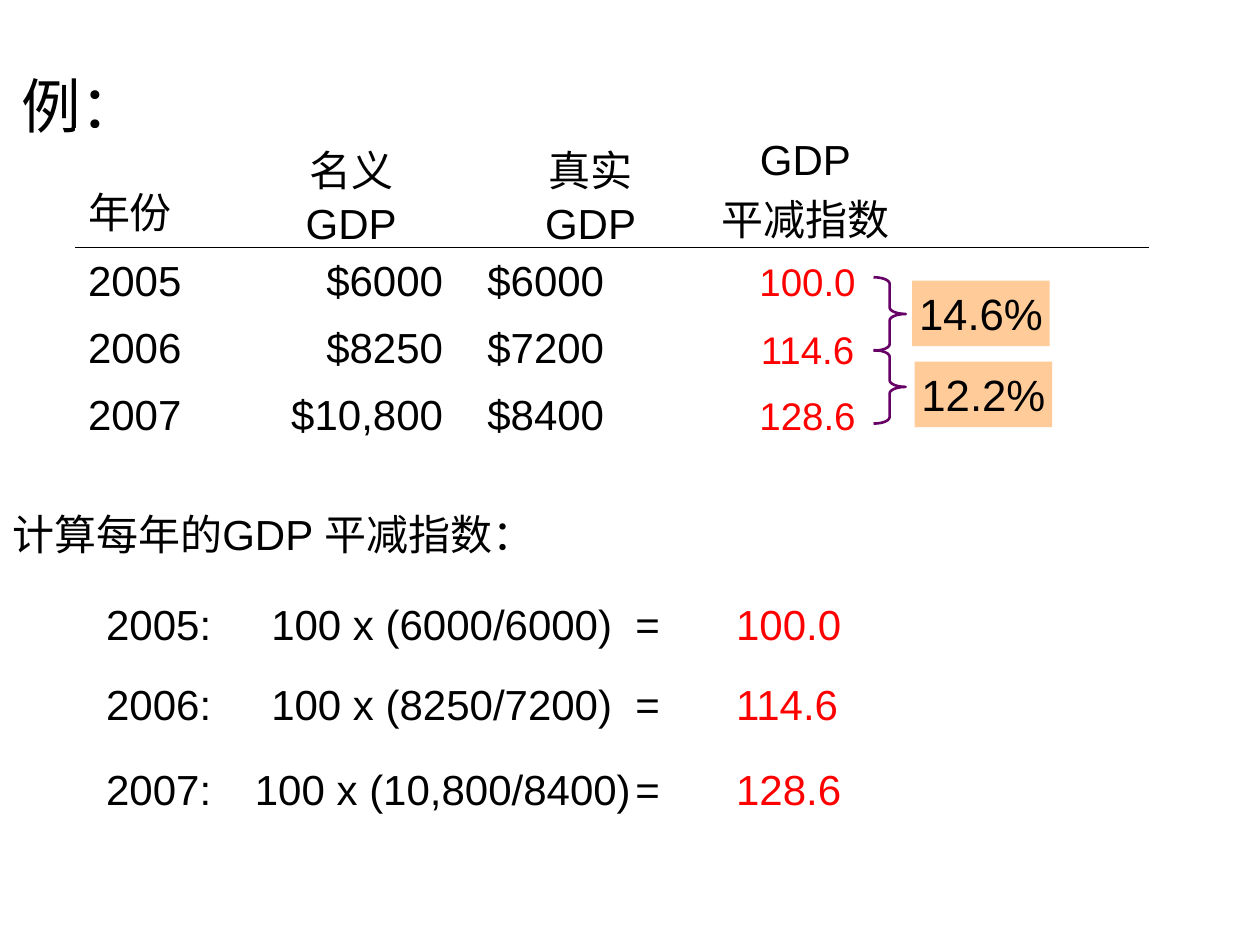
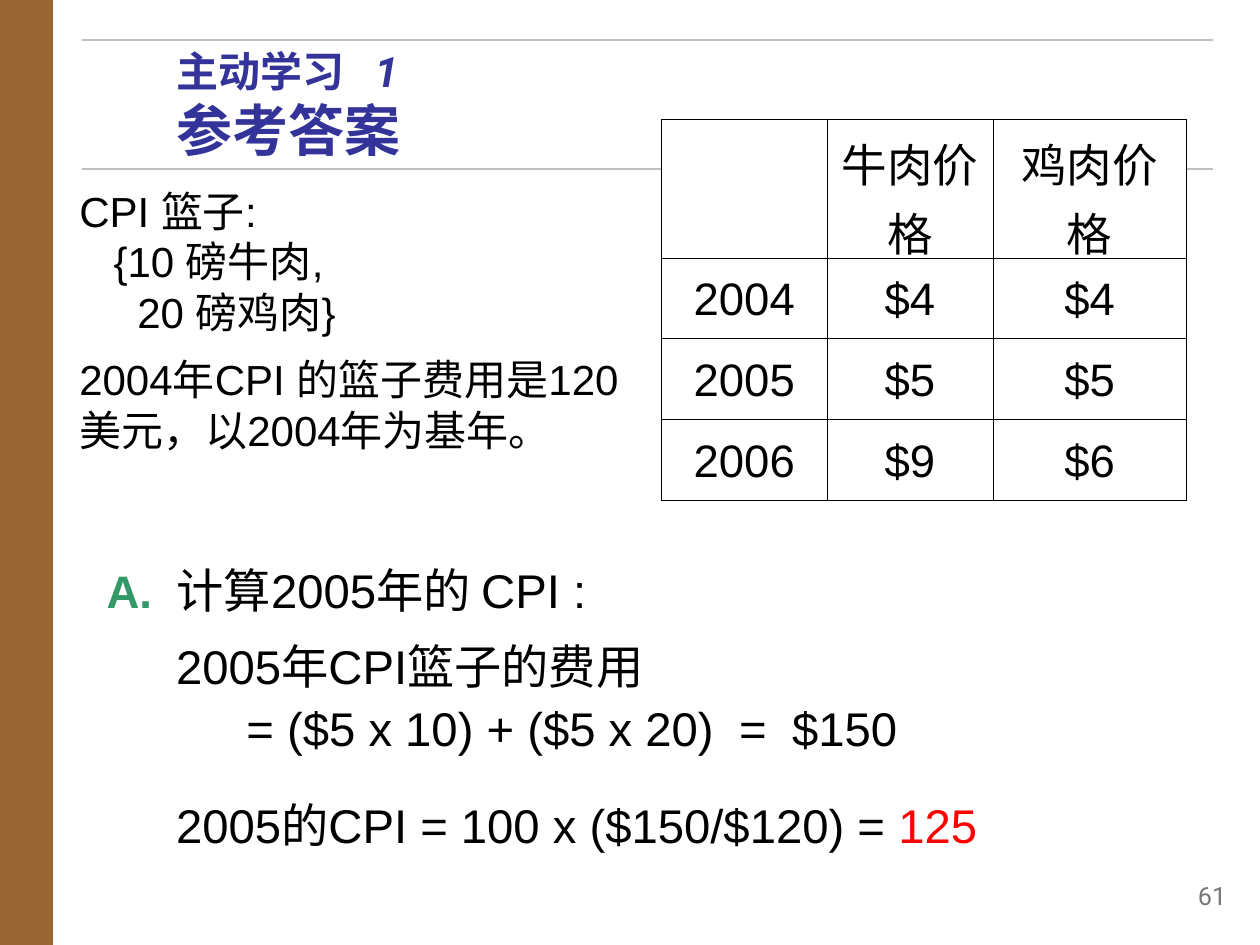
"""Builds two slides on the GDP deflator and the CPI basket."""
import pptx
import pptx.chart.data
import pptx.dml.color
import pptx.enum.shapes
import pptx.enum.text
import pptx.oxml
import pptx.oxml.ns
import pptx.util
import lxml.etree

Cm = pptx.util.Cm
Pt = pptx.util.Pt
RGB = pptx.dml.color.RGBColor.from_string
ALIGN = pptx.enum.text.PP_ALIGN
ANCHOR = pptx.enum.text.MSO_ANCHOR
SHAPE = pptx.enum.shapes.MSO_SHAPE
qn = pptx.oxml.ns.qn

COLORS = {
    "text": "000000", "result": "FF0000", "growth": "FFCC99", "brace": "660066",
    "band": "996633", "title": "333399", "rule": "C0C0C0", "number": "777777",
    "letter": "339966", "paper": "FFFFFF",
}
RED = {"color": "result"}


def write(target, paragraphs, size, align=ALIGN.LEFT, anchor=ANCHOR.TOP,
          spacing=1.0, before=0, tabs=(), **base):
    """Fill a frame; target is a cell, a shape, or a page with its box in Cm."""
    if isinstance(target, tuple):
        page, *place = target
        target = page.shapes.add_textbox(*map(Cm, place))
    frame = target.text_frame
    frame.word_wrap = True
    frame.vertical_anchor = anchor
    for number, parts in enumerate(paragraphs):
        para = frame.add_paragraph() if number else frame.paragraphs[0]
        if tabs:
            tab_list = lxml.etree.SubElement(para._p.get_or_add_pPr(), qn("a:tabLst"))
            for tab in tabs:
                lxml.etree.SubElement(tab_list, qn("a:tab"), pos=str(Cm(tab)), algn="l")
        para.alignment = align
        para.line_spacing = spacing
        para.space_before = Pt(before if number else 0)
        for text, own in parts:
            style = {"font": "Arial", "color": "text", "size": size, **base, **own}
            for row, piece in enumerate(text.split("\v")):
                if row:
                    para.add_line_break()
                span = para.add_run()
                span.text = piece
                span.font.name = style["font"]
                span.font.size = Pt(style["size"])
                span.font.bold = style.get("bold", False)
                span.font.italic = style.get("italic", False)
                span.font.color.rgb = RGB(COLORS[style["color"]])


def add_grid(page, left, top, widths, heights, edges_of):
    """Add an unstyled table; edges_of(row) names the ruled sides of its cells."""
    frame = page.shapes.add_table(len(heights), len(widths), Cm(left), Cm(top),
                                  Cm(sum(widths)), Cm(sum(heights)))
    table = frame.table
    table.first_row = table.horz_banding = False
    for column, width in zip(table.columns, widths):
        column.width = Cm(width)
    for index, height in enumerate(heights):
        table.rows[index].height = Cm(height)
        for cell in table.rows[index].cells:
            properties = cell._tc.get_or_add_tcPr()
            for side in "LRTB":
                ruled = side in edges_of(index)
                line = lxml.etree.SubElement(properties, qn("a:ln" + side),
                                             w=str(Pt(0.45) if ruled else 0))
                if ruled:
                    fill = lxml.etree.SubElement(line, qn("a:solidFill"))
                    lxml.etree.SubElement(fill, qn("a:srgbClr"), val=COLORS["text"])
                else:
                    lxml.etree.SubElement(line, qn("a:noFill"))
            cell.fill.solid()
            cell.fill.fore_color.rgb = RGB(COLORS["paper"])
    return table


deck = pptx.Presentation()
deck.slide_width = Cm(25.4)
deck.slide_height = Cm(19.05)
blank = deck.slide_layouts[6]

page = deck.slides.add_slide(blank)
write((page, 0.18, 1.32, 18.75, 1.57), [[("例：", {})]], 34, anchor=ANCHOR.MIDDLE)
write((page, 0, 10.13, 22.63, 1.5), [[("计算每年的GDP 平减指数：", {})]], 24)

gdp_rows = [
    ["年份", "名义\vGDP", "真实\vGDP", "GDP\v平减指数"],
    ["2005", "$6000", "$6000"],
    ["2006", "$8250", "$7200"],
    ["2007", "$10,800", "$8400"],
]
gdp_table = add_grid(page, 1.52, 2.59, [3.07, 4.98, 4.67, 3.99, 4.93],
                     [2.39, 1.35, 1.35, 1.35], lambda row: {0: "B", 1: "T"}.get(row, ""))
for row, texts in enumerate(gdp_rows):
    for column, text in enumerate(texts):
        cell = gdp_table.cell(row, column)
        align = ALIGN.LEFT
        if row == 0 and column:
            align = ALIGN.CENTER
        elif column == 1:
            align = ALIGN.RIGHT
            cell.margin_right = Cm(0.64)
        write(cell, [[(text, {})]], 24, align, spacing=1.05)
        cell.vertical_anchor = ANCHOR.MIDDLE if row else ANCHOR.BOTTOM

deflators = [
    ("2005", "6000/6000", "100.0", 11.89, 5.11, 3.33),
    ("2006", "8250/7200", "114.6", 13.51, 6.48, 3.33),
    ("2007", "10,800/8400", "128.6", 15.21, 7.8, 3.0),
]
for year, ratio, result, formula_top, index_top, formula_tab in deflators:
    write((page, 1.89, formula_top, 17.42, 1.5),
          [[(f"{year}:\t100 x ({ratio})\t=\t", {}), (result, RED)]],
          24, spacing=1.05, tabs=[formula_tab, 10.67, 12.7])
    write((page, 14.73, index_top, 3.1, 1.22), [[(result, RED)]], 22,
          ALIGN.CENTER, ANCHOR.MIDDLE, 0.95)

for growth, box_left, box_top, brace_top in [("14.6%", 18.39, 5.66, 5.59),
                                             ("12.2%", 18.44, 7.29, 7.06)]:
    box = page.shapes.add_shape(SHAPE.RECTANGLE, Cm(box_left), Cm(box_top), Cm(2.77), Cm(1.32))
    box.shadow.inherit = False
    box.fill.solid()
    box.fill.fore_color.rgb = RGB(COLORS["growth"])
    box.line.fill.background()
    box.text_frame.margin_left = box.text_frame.margin_right = Cm(0.13)
    write(box, [[(growth, {})]], 25, ALIGN.CENTER, ANCHOR.MIDDLE)
    brace = page.shapes.add_shape(SHAPE.RIGHT_BRACE, Cm(17.61), Cm(brace_top), Cm(0.65), Cm(1.48))
    brace.adjustments[0] = 0.2
    brace.shadow.inherit = False
    brace.fill.background()
    brace.line.color.rgb = RGB(COLORS["brace"])
    brace.line.width = Pt(1.5)

page = deck.slides.add_slide(blank)
band = page.shapes.add_shape(SHAPE.RECTANGLE, 0, 0, Cm(1.07), deck.slide_height)
band.shadow.inherit = False
band.fill.solid()
band.fill.fore_color.rgb = RGB(COLORS["band"])
band.line.fill.background()
for height in (0.81, 3.4):
    rule = page.shapes.add_connector(pptx.enum.shapes.MSO_CONNECTOR.STRAIGHT,
                                     Cm(1.65), Cm(height), Cm(24.46), Cm(height))
    rule.line.color.rgb = RGB(COLORS["rule"])
    rule.line.width = Pt(1)
    lxml.etree.SubElement(rule._element.spPr, qn("a:effectLst"))

write((page, 3.3, 0.79, 21.13, 2.31),
      [[("主动学习\t", {"font": "Roboto"}), ("1", {"font": "Roboto", "italic": True}),
        ("\v", {}), ("参考答案", {"size": 32})]],
      24, tabs=[4.01], color="title", bold=True)
write((page, 23.06, 17.7, 1.91, 1.02), [[("61", {})]], 14.4, ALIGN.RIGHT,
      spacing=0.9, font="Roboto", color="number")
write((page, 1.9, 11.13, 14.55, 1.6),
      [[("A.\t", {"size": 26, "color": "letter", "bold": True}),
        ("计算2005年的 CPI :", {})]], 27, spacing=1.05, tabs=[1.41])
write((page, 3.3, 12.6, 19.69, 5.05),
      [[("2005年CPI篮子的费用\v\t= ($5 x 10) + ($5 x 20)\t=\t$150", {})],
       [("2005的CPI = 100 x ($150/$120) = ", {}), ("125", RED)]],
      27, spacing=1.1, before=20, tabs=[1.42, 11.35, 12.42])
write((page, 1.35, 3.61, 11.46, 6.68),
      [[("CPI 篮子:\v\t{10 磅牛肉,\v\t\t20 磅鸡肉}", {})],
       [("2004年CPI 的篮子费用是120 美元，以2004年为基年。", {})]],
      24, before=10, tabs=[0.69, 1.17])

price_rows = [
    ["", "牛肉价格", "鸡肉价格"],
    ["2004", "$4", "$4"],
    ["2005", "$5", "$5"],
    ["2006", "$9", "$6"],
]
price_table = add_grid(page, 13.34, 2.41, [3.33, 3.35, 3.89],
                       [2.79, 1.63, 1.63, 1.63], lambda row: "LRTB")
for row, texts in enumerate(price_rows):
    for column, text in enumerate(texts):
        if text:
            write(price_table.cell(row, column), [[(text, {})]], 26, ALIGN.CENTER, spacing=1.05)
            price_table.cell(row, column).vertical_anchor = ANCHOR.MIDDLE

deck.save("out.pptx")
